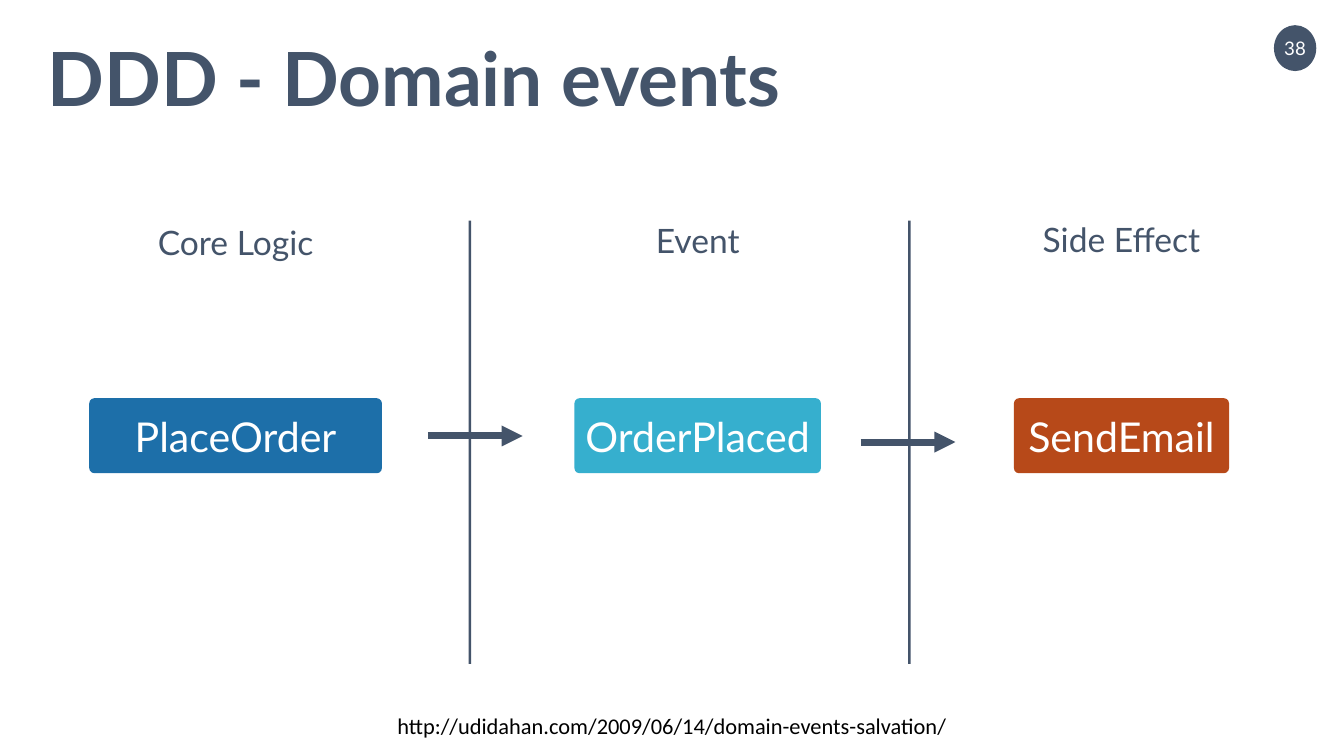
from dataclasses import dataclass
from typing import NamedTuple
from lxml.etree import SubElement
from pptx import Presentation
from pptx.dml.color import RGBColor
from pptx.enum.shapes import MSO_CONNECTOR, MSO_SHAPE
from pptx.enum.text import MSO_ANCHOR, MSO_AUTO_SIZE, PP_ALIGN
from pptx.oxml.ns import qn
from pptx.util import Inches, Pt


@dataclass(frozen=True)
class Theme:
    slate: str = "44546A"
    blue: str = "1D6FA9"
    cyan: str = "36AFCE"
    rust: str = "B74919"
    white: str = "FFFFFF"
    black: str = "000000"
    font: str = "Lato"
    link_font: str = "Calibri"
    title: float = 106.7
    card: float = 58.7
    heading: float = 48
    link: float = 32
    number: float = 26.7
    arrow: float = 10


T = Theme()
W, H = Inches(26.67), Inches(15)


class Box(NamedTuple):
    x: float
    y: float
    w: float
    h: float

    def emu(self):
        return [int(v * side / 100) for v, side in zip(self, (W, H, W, H))]


def write(tf, text, size, color, font=T.font, bold=False, align=PP_ALIGN.CENTER,
          anchor=MSO_ANCHOR.TOP, inset=(0.1, 0.05), wrap=True):
    tf.word_wrap = wrap
    tf.auto_size = MSO_AUTO_SIZE.NONE
    tf.vertical_anchor = anchor
    tf.margin_left = tf.margin_right = Inches(inset[0])
    tf.margin_top = tf.margin_bottom = Inches(inset[1])
    p = tf.paragraphs[0]
    p.alignment = align
    r = p.add_run()
    r.text = text
    r.font.name, r.font.size, r.font.bold = font, Pt(size), bold
    r.font.color.rgb = RGBColor.from_string(color)


def add_text(s, box, text, size, color, font=T.font):
    write(s.shapes.add_textbox(*box.emu()).text_frame, text, size, color, font)


def add_block(s, kind, box, color):
    sp = s.shapes.add_shape(kind, *box.emu())
    sp.shadow.inherit = False
    sp.fill.solid()
    sp.fill.fore_color.rgb = RGBColor.from_string(color)
    sp.line.fill.background()
    return sp


def add_title(s, box, text):
    sp = s.shapes.title
    sp.left, sp.top, sp.width, sp.height = box.emu()
    write(sp.text_frame, text, T.title, T.slate, bold=True, align=PP_ALIGN.LEFT)


def add_badge(s, box, number):
    sp = add_block(s, MSO_SHAPE.OVAL, box, T.slate)
    write(sp.text_frame, number, T.number, T.white,
          anchor=MSO_ANCHOR.MIDDLE, inset=(0, 0), wrap=False)


def add_lane(s, box, heading, drop, name, color):
    head_w, card_h = 13.2, 9.93
    head = Box(box.x + (box.w - head_w) / 2, box.y + drop, head_w, 6.07)
    add_text(s, head, heading, T.heading, T.slate)
    card = Box(box.x, box.y + box.h - card_h, box.w, card_h)
    sp = add_block(s, MSO_SHAPE.ROUNDED_RECTANGLE, card, color)
    sp.adjustments[0] = 0.07
    write(sp.text_frame, name, T.card, T.white,
          anchor=MSO_ANCHOR.MIDDLE, inset=(0.2, 0.1), wrap=False)


def add_border(s, box, arrow_x, arrow_y):
    add_block(s, MSO_SHAPE.RECTANGLE, box, T.slate)
    x, y, w, _ = Box(arrow_x, arrow_y, 7.05, 0).emu()
    cn = s.shapes.add_connector(MSO_CONNECTOR.STRAIGHT, x, y, x + w, y)
    cn.line.width = Pt(T.arrow)
    cn.line.color.rgb = RGBColor.from_string(T.slate)
    SubElement(cn.line._get_or_add_ln(), qn("a:tailEnd"), type="triangle")
    SubElement(cn._element.spPr, qn("a:effectLst"))


def main():
    prs = Presentation()
    prs.slide_width, prs.slide_height = W, H
    s = prs.slides.add_slide(prs.slide_layouts[5])
    add_title(s, Box(3.19, 3.93, 91.53, 12.67), "DDD - Domain events")
    add_badge(s, Box(94.79, 3.33, 3.15, 6.07), "38")
    for x, w, heading, drop, name, color in (
        (6.64, 21.78, "Core Logic", 0.33, "PlaceOrder", T.blue),
        (42.74, 18.34, "Event", 0.13, "OrderPlaced", T.cyan),
        (75.44, 16.01, "Side Effect", 0, "SendEmail", T.rust),
    ):
        add_lane(s, Box(x, 28.67, w, 33.93), heading, drop, name, color)
    for x, arrow_x, arrow_y in ((34.87, 31.83, 57.67), (67.57, 64.04, 58.47)):
        add_border(s, Box(x, 29.2, 0.19, 58.6), arrow_x, arrow_y)
    add_text(s, Box(0, 93.8, 100, 4.27),
             "http://udidahan.com/2009/06/14/domain-events-salvation/",
             T.link, T.black, T.link_font)
    prs.save("out.pptx")


if __name__ == "__main__":
    main()
